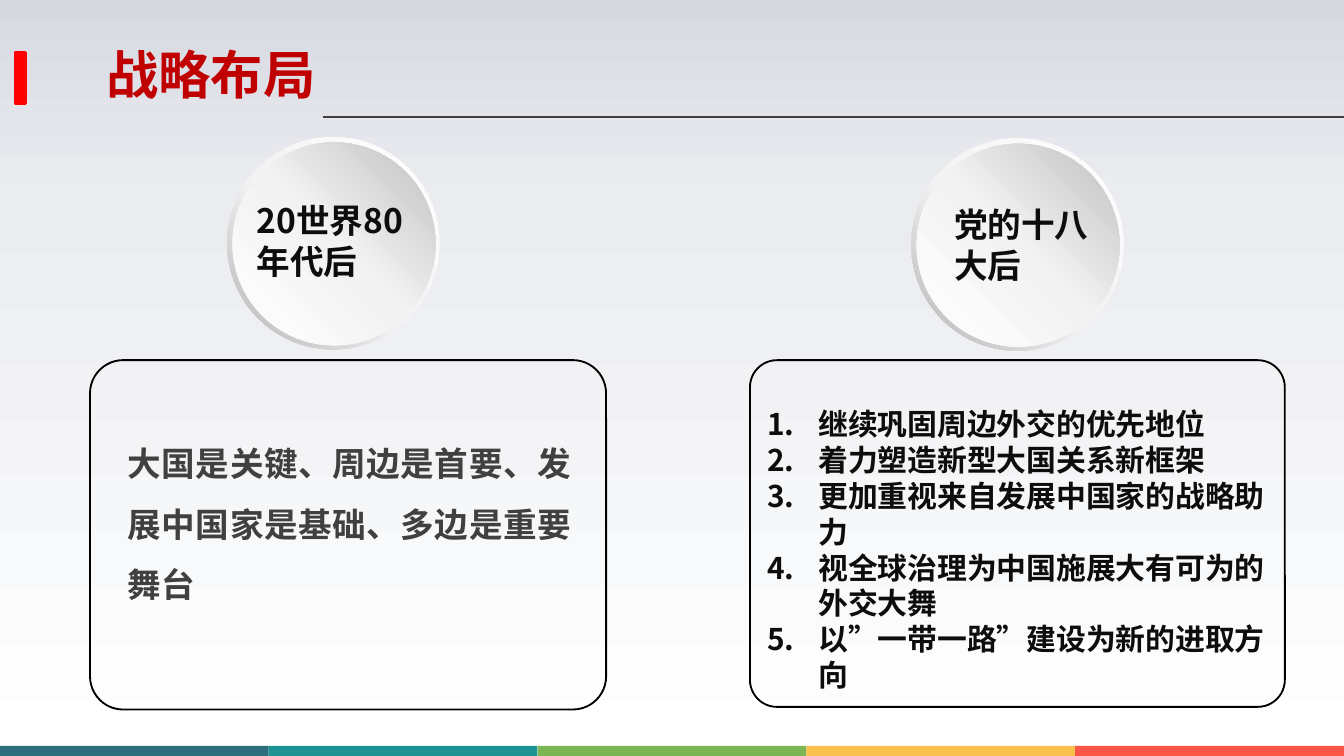
from lxml import etree
from pptx import Presentation
from pptx.dml.color import RGBColor
from pptx.enum.shapes import MSO_CONNECTOR, MSO_SHAPE
from pptx.enum.text import MSO_ANCHOR, MSO_AUTO_SIZE, PP_ALIGN
from pptx.oxml.ns import qn
from pptx.util import Inches, Pt

RECTANGLE, ROUNDED = MSO_SHAPE.RECTANGLE, MSO_SHAPE.ROUNDED_RECTANGLE
DONUT, OVAL = MSO_SHAPE.DONUT, MSO_SHAPE.OVAL
STRAIGHT = MSO_CONNECTOR.STRAIGHT
TOP, MIDDLE = MSO_ANCHOR.TOP, MSO_ANCHOR.MIDDLE
LEFT, CENTER, JUSTIFY = PP_ALIGN.LEFT, PP_ALIGN.CENTER, PP_ALIGN.JUSTIFY
NO_AUTOFIT = MSO_AUTO_SIZE.NONE

CJK_FONT = "Noto Sans CJK SC"
COLORS = {
    "title": "C00000", "marker": "FF0000", "rule": "404040",
    "outline": "000000", "text": "0D0D0D", "soft_text": "404040",
}
FOOTER_COLORS = ["2B6F7D", "1C9494", "7CB554", "FAC14D", "F95647"]
BACKGROUND = [(0, "D7D9E1"), (26, "EBECF0"), (100, "FFFFFF")]
RIM = [(0, "FFFFFF"), (55, "F2F2F2"), (100, "B2B2B2")]
DISC = [(0, "FFFFFF"), (51, "F2F2F2"), (100, "BFBFBF")]

EARLIER_POLICY = "大国是关键、周边是首要、发展中国家是基础、多边是重要舞台"
PRIORITIES = [
    "继续巩固周边外交的优先地位",
    "着力塑造新型大国关系新框架",
    "更加重视来自发展中国家的战略助力",
    "视全球治理为中国施展大有可为的外交大舞",
    "以”一带一路”建设为新的进取方向",
]


def rgb(name):
    return RGBColor.from_string(COLORS[name])


def set_gradient(fill, element, stops, angle):
    """Fill with (percent, hex) stops; the angle runs clockwise in degrees."""
    fill.gradient()
    stop_list = next(element.iter(qn("a:gsLst")))
    for old_stop in list(stop_list):
        stop_list.remove(old_stop)
    for percent, color in stops:
        stop = etree.SubElement(stop_list, qn("a:gs"), pos=str(percent * 1000))
        etree.SubElement(stop, qn("a:srgbClr"), val=color)
    next(element.iter(qn("a:lin"))).set("ang", str(angle * 60000))


def add_plain_shape(slide, preset, left, top, width, height):
    shape = slide.shapes.add_shape(
        preset, Inches(left), Inches(top), Inches(width), Inches(height))
    shape.shadow.inherit = False
    shape.fill.background()
    shape.line.fill.background()
    return shape


def set_outline(shape, color, points):
    shape.line.color.rgb = rgb(color)
    shape.line.width = Pt(points)


def write_text(frame, paragraphs, size, color, font=CJK_FONT, align=LEFT,
               anchor=TOP, inset=(0.1, 0.05), numbered=False, spacing=None):
    frame.word_wrap = True
    frame.auto_size = NO_AUTOFIT
    frame.vertical_anchor = anchor
    frame.margin_left = frame.margin_right = Inches(inset[0])
    frame.margin_top = frame.margin_bottom = Inches(inset[1])
    frame.text = "\n".join(paragraphs)
    for paragraph in frame.paragraphs:
        paragraph.alignment = align
        if spacing:
            paragraph.line_spacing = spacing
        if numbered:
            properties = paragraph._p.get_or_add_pPr()
            properties.set("marL", str(Inches(0.38)))
            properties.set("indent", str(-Inches(0.38)))
            etree.SubElement(properties, qn("a:buFont"), typeface=font)
            etree.SubElement(properties, qn("a:buAutoNum"), type="arabicPeriod")
        for run in paragraph.runs:
            run.font.size = Pt(size)
            run.font.bold = True
            run.font.name = font
            run.font.color.rgb = rgb(color)
            etree.SubElement(run.font._element, qn("a:ea"), typeface=CJK_FONT)


def add_text(slide, box, paragraphs, size, color, **options):
    textbox = slide.shapes.add_textbox(*map(Inches, box))
    write_text(textbox.text_frame, paragraphs, size, color, **options)


def add_title(slide, text):
    title = slide.shapes.title
    title.left, title.top = Inches(0.26), Inches(0.31)
    title.width, title.height = Inches(2.62), Inches(0.47)
    write_text(title.text_frame, [text], 28, "title", align=CENTER,
               anchor=MIDDLE, inset=(0, 0))


def add_footer_bands(slide):
    for index, color in enumerate(FOOTER_COLORS):
        band = add_plain_shape(slide, RECTANGLE, 2 * index, 5.55, 2, 0.08)
        band.fill.solid()
        band.fill.fore_color.rgb = RGBColor.from_string(color)


def add_title_marks(slide):
    rule = slide.shapes.add_connector(
        STRAIGHT, Inches(2.4), Inches(0.87), Inches(10), Inches(0.87))
    set_outline(rule, "rule", 0.75)
    etree.SubElement(rule._element.spPr, qn("a:effectLst"))
    marker = add_plain_shape(slide, RECTANGLE, 0.12, 0.39, 0.07, 0.38)
    marker.fill.solid()
    marker.fill.fore_color.rgb = rgb("marker")
    set_outline(marker, "marker", 2)


def add_panel(slide, box, corner):
    panel = add_plain_shape(slide, ROUNDED, *box)
    panel.adjustments[0] = corner
    set_outline(panel, "outline", 1)


def add_period_badge(slide, left, top, period, text_box):
    rim = add_plain_shape(slide, DONUT, left, top, 1.58, 1.58)
    rim.adjustments[0] = 0.049
    set_gradient(rim.fill, rim._element, RIM, 135)
    disc = add_plain_shape(slide, OVAL, left + 0.04, top + 0.04, 1.51, 1.51)
    set_gradient(disc.fill, disc._element, DISC, 315)
    add_text(slide, text_box, [period], 18, "text")


def main():
    presentation = Presentation()
    presentation.slide_width = Inches(10)
    presentation.slide_height = Inches(10 * 9 / 16)
    slide = presentation.slides.add_slide(presentation.slide_layouts[5])
    set_gradient(slide.background.fill, slide._element, BACKGROUND, 90)

    add_title(slide, "战略布局")
    add_footer_bands(slide)
    add_title_marks(slide)

    add_panel(slide, (0.67, 2.68, 3.84, 2.6), 0.095)
    add_period_badge(slide, 1.69, 1.02, "20世界80年代后", (1.81, 1.44, 1.34, 0.71))
    add_panel(slide, (5.58, 2.68, 3.98, 2.58), 0.078)
    add_period_badge(slide, 6.78, 1.03, "党的十八大后", (7, 1.47, 1.21, 0.71))

    add_text(slide, (0.85, 3.1, 3.5, 1.46), [EARLIER_POLICY], 18, "soft_text",
             font="Arial", align=JUSTIFY, spacing=1.5)
    add_text(slide, (5.71, 3.02, 3.86, 2.69), PRIORITIES, 16, "text",
             inset=(0, 0), numbered=True)
    presentation.save("out.pptx")


if __name__ == "__main__":
    main()
